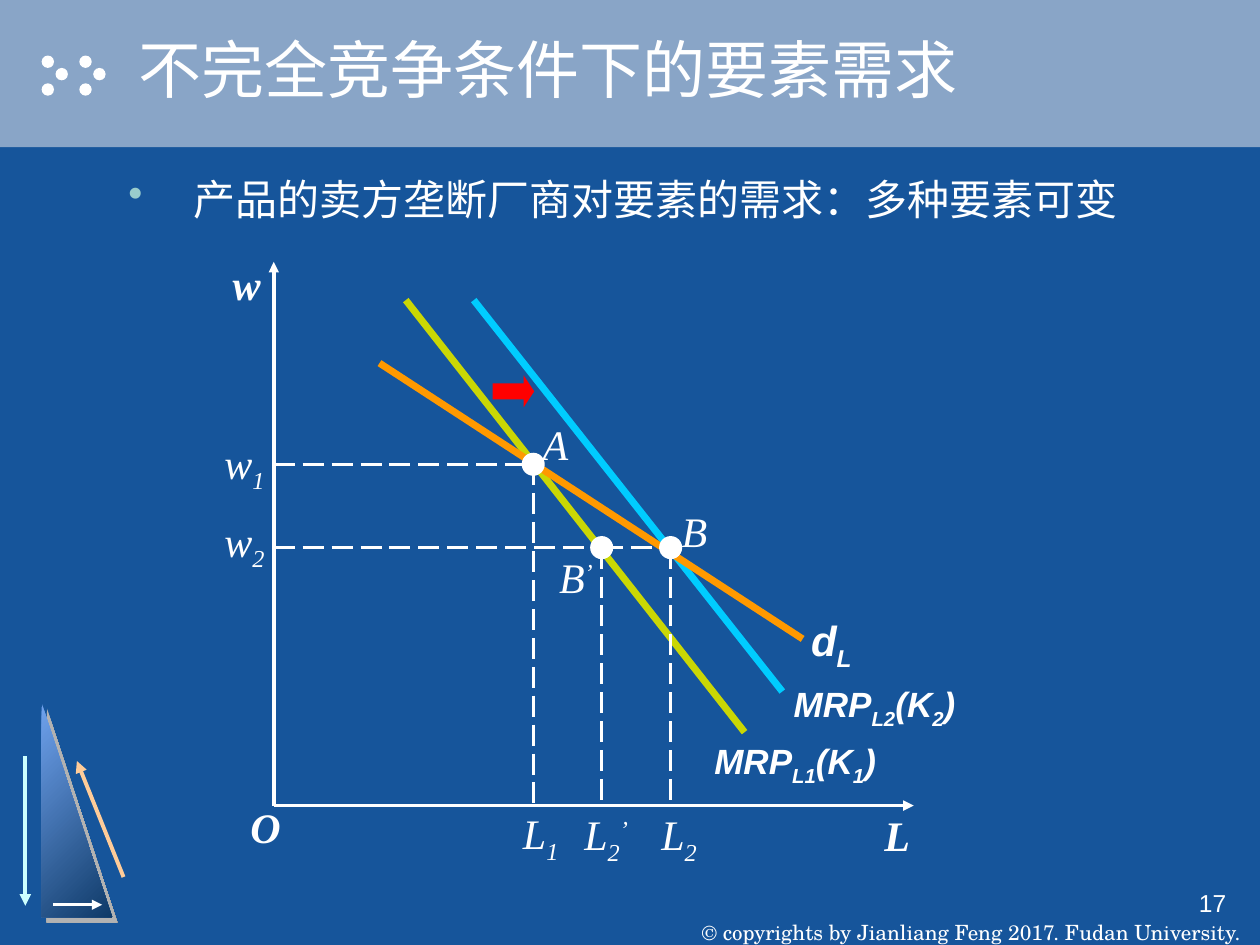
from dataclasses import dataclass, field
from typing import Optional

from lxml.etree import SubElement
from pptx import Presentation
from pptx.dml.color import RGBColor
from pptx.enum.dml import MSO_LINE as Dash
from pptx.enum.shapes import MSO_CONNECTOR as Link, MSO_SHAPE as Preset
from pptx.enum.text import MSO_ANCHOR as Anchor, MSO_AUTO_SIZE as Fit, PP_ALIGN as Align
from pptx.oxml.ns import qn
from pptx.util import Cm, Pt


@dataclass(frozen=True)
class Theme:
    page: str = "16559B"
    banner: str = "89A5C7"
    white: str = "FFFFFF"
    shade: str = "B2B2B2"
    text_shade: str = "000000"
    bullet: str = "99CCCC"
    light_blue: str = "6FA2ED"
    dark_blue: str = "0F3A68"
    mint: str = "CCFFFF"
    peach: str = "FFCC99"
    lime: str = "CAD704"
    cyan: str = "00CCFF"
    orange: str = "FF9900"
    red: str = "FF0000"
    serif: str = "Times New Roman"
    sans: str = "Arial"
    book: str = "TeX Gyre Schola"
    title_size: int = 36
    body_size: int = 24
    curve_size: int = 20
    number_size: int = 14
    small_size: int = 12


THEME = Theme()
SUB, SUPER = -25, 30


@dataclass(frozen=True)
class Style:
    font: str = THEME.serif
    size: int = THEME.body_size
    bold: bool = False
    italic: bool = False
    align: Optional[Align] = None
    anchor: Anchor = Anchor.TOP
    wrap: bool = True
    grow: bool = False
    spacing: Optional[float] = None


LETTER = Style(italic=True, wrap=False, grow=True)
AXIS = Style(bold=True, italic=True, wrap=False, grow=True)
TICK = Style(italic=True, align=Align.CENTER, grow=True, spacing=1.2)
CURVE = Style(THEME.sans, THEME.curve_size, True, True, wrap=False, grow=True)
DEMAND = Style(THEME.sans, bold=True, italic=True, wrap=False, grow=True)


@dataclass(frozen=True)
class Label:
    spans: tuple
    place: tuple
    style: Style


@dataclass(frozen=True)
class Stroke:
    start: tuple
    end: tuple
    color: str = THEME.white
    width: float = 1.5
    arrow: bool = False
    dashed: bool = False


@dataclass(frozen=True)
class Point:
    x: float
    y: float
    guide_start: float
    labels: tuple = field(default=())


def color(code: str) -> RGBColor:
    return RGBColor.from_string(code)


def add_shadow(effects, code: str, distance: float) -> None:
    shadow = SubElement(effects, qn("a:outerShdw"), dist=str(Pt(distance)), dir="2700000")
    SubElement(shadow, qn("a:srgbClr"), val=code)


def draw_shape(page, preset, place: tuple, fill: str):
    shape = page.shapes.add_shape(preset, *map(Cm, place))
    shape.shadow.inherit = False
    shape.fill.solid()
    shape.fill.fore_color.rgb = color(fill)
    shape.line.fill.background()
    return shape


def draw_stroke(page, stroke: Stroke) -> None:
    ends = map(Cm, (*stroke.start, *stroke.end))
    connector = page.shapes.add_connector(Link.STRAIGHT, *ends)
    connector.line.color.rgb = color(stroke.color)
    connector.line.width = Pt(stroke.width)
    if stroke.dashed:
        connector.line.dash_style = Dash.LONG_DASH
    properties = connector._element.spPr
    if stroke.arrow:
        SubElement(properties.find(qn("a:ln")), qn("a:tailEnd"), type="triangle")
    SubElement(properties, qn("a:effectLst"))


def draw_label(page, label: Label):
    style = label.style
    box = page.shapes.add_textbox(*map(Cm, label.place))
    frame = box.text_frame
    frame.word_wrap = style.wrap
    frame.vertical_anchor = style.anchor
    if style.grow:
        frame.auto_size = Fit.SHAPE_TO_FIT_TEXT
    para = frame.paragraphs[0]
    para.alignment = style.align
    para.line_spacing = style.spacing
    for text, baseline in label.spans:
        span = para.add_run()
        span.text = text
        span.font.name = style.font
        span.font.size = Pt(style.size)
        span.font.bold = style.bold
        span.font.italic = style.italic
        span.font.color.rgb = color(THEME.white)
        if baseline:
            span._r.get_or_add_rPr().set("baseline", str(baseline * 1000))
    return box


def draw_point(page, point: Point, floor: float) -> None:
    size = 0.43
    center = (point.x, point.y)
    draw_stroke(page, Stroke((point.guide_start, point.y), center, dashed=True))
    draw_stroke(page, Stroke(center, (point.x, floor), dashed=True))
    place = (point.x - size / 2, point.y - size / 2, size, size)
    dot = draw_shape(page, Preset.OVAL, place, THEME.white)
    dot.line.color.rgb = color(THEME.white)
    dot.line.width = Pt(1)
    for label in point.labels:
        draw_label(page, label)


def draw_decoration(page) -> None:
    draw_shape(page, Preset.RECTANGLE, (0, 0, 25.4, 2.97), THEME.banner)
    for left in (0.84, 1.6):
        for shift, top in ((0, 1.12), (0.28, 1.37), (0, 1.68)):
            draw_shape(page, Preset.OVAL, (left + shift, top, 0.25, 0.25), THEME.white)
    triangle = draw_shape(page, Preset.RIGHT_TRIANGLE, (0.84, 14.17, 1.42, 4.32), THEME.dark_blue)
    triangle.fill.gradient()
    triangle.fill.gradient_angle = 315
    for stop, code in zip(triangle.fill.gradient_stops, (THEME.light_blue, THEME.dark_blue)):
        stop.color.rgb = color(code)
    add_shadow(triangle._element.spPr.find(qn("a:effectLst")), THEME.shade, 4.2)
    for stroke in (
        Stroke((0.51, 15.24), (0.51, 18.26), THEME.mint, 2.25, arrow=True),
        Stroke((2.49, 17.68), (1.55, 15.34), THEME.peach, 2.25, arrow=True),
        Stroke((1.07, 18.24), (2.06, 18.24), arrow=True),
    ):
        draw_stroke(page, stroke)


def draw_texts(page) -> None:
    footer_style = Style(THEME.book, THEME.small_size, align=Align.CENTER, anchor=Anchor.BOTTOM, wrap=False)
    footer = draw_label(page, Label((("© copyrights by Jianliang Feng 2017. Fudan University.", 0),),
                                    (13.77, 17.78, 11.63, 1.27), footer_style))
    footer.text_frame.margin_top = footer.text_frame.margin_bottom = Cm(0)
    draw_label(page, Label((("17", 0),), (19.69, 17.78, 5.28, 1.27),
                           Style(THEME.sans, THEME.number_size, align=Align.RIGHT)))
    title = draw_label(page, Label((("不完全竞争条件下的要素需求", 0),), (2.54, 0, 22.86, 2.74),
                                   Style(THEME.sans, THEME.title_size, anchor=Anchor.MIDDLE)))
    letters = title.text_frame.paragraphs[0].runs[0]._r.get_or_add_rPr()
    effects = SubElement(letters, qn("a:effectLst"))
    letters.find(qn("a:solidFill")).addnext(effects)
    add_shadow(effects, THEME.text_shade, 2)
    body = draw_label(page, Label((("产品的卖方垄断厂商对要素的需求：多种要素可变", 0),),
                                  (2.34, 3.38, 20.75, 12.7), Style()))
    bullet = body.text_frame.paragraphs[0]._p.get_or_add_pPr()
    bullet.set("marL", str(Cm(1.32)))
    bullet.set("indent", str(-Cm(1.32)))
    SubElement(SubElement(bullet, qn("a:buClr")), qn("a:srgbClr"), val=THEME.bullet)
    SubElement(bullet, qn("a:buChar"), char="•")


def draw_diagram(page) -> None:
    left, floor = origin = (5.52, 16.24)
    tick_size, letter_size, curve_size = (1.48, 1.65), (1.02, 1.27), (3.76, 1.22)
    point_a = Point(10.75, 9.36, left, (
        Label((("A", 0),), (10.69, 8.31, *letter_size), LETTER),
        Label((("w", 0), ("1", SUB)), (4.19, 8.46, *tick_size), TICK),
        Label((("L", 0), ("1", SUB)), (10.16, 15.93, *tick_size), TICK),
    ))
    point_b_prime = Point(12.13, 11.04, left, (
        Label((("B", 0), ("’", SUPER)), (11.02, 11, 1.19, 1.27), LETTER),
        Label((("w", 0), ("2", SUB)), (4.19, 10.03, *tick_size), TICK),
        Label((("L", 0), ("2", SUB), ("’", SUPER)), (11.48, 15.95, *tick_size), TICK),
    ))
    point_b = Point(13.52, point_b_prime.y, point_b_prime.x, (
        Label((("B", 0),), (13.49, 10.06, *letter_size), LETTER),
        Label((("L", 0), ("2", SUB)), (12.95, 15.95, *tick_size), TICK),
    ))
    for tip in ((left, 5.28), (18.42, floor)):
        draw_stroke(page, Stroke(origin, tip, width=2, arrow=True))
    for name, place in (
        ("L", (17.58, 16.2, 1.02, 1.27)),
        ("w", (4.44, 5.08, 1.07, 1.27)),
        ("O", (4.8, 16.03, 1.12, 1.27)),
    ):
        draw_label(page, Label(((name, 0),), place, AXIS))
    draw_stroke(page, Stroke((8.18, 6.05), (15.01, 14.76), THEME.lime, 4))
    draw_point(page, point_b_prime, floor)
    draw_stroke(page, Stroke((9.55, 6.05), (15.77, 13.94), THEME.cyan, 4))
    for number, place in (("1", (14.15, 14.78)), ("2", (15.75, 13.64))):
        spans = (("MRP", 0), ("L" + number, SUB), ("(K", 0), (number, SUB), (")", 0))
        draw_label(page, Label(spans, (*place, *curve_size), CURVE))
    arrow = draw_shape(page, Preset.RIGHT_ARROW, (9.93, 7.57, 0.84, 0.64), THEME.red)
    arrow.adjustments[1] = 0.33
    draw_stroke(page, Stroke((7.65, 7.32), (16.18, 12.88), THEME.orange, 4))
    draw_label(page, Label((("d", 0), ("L", SUB)), (16.1, 12.27, 1.32, 1.4), DEMAND))
    for point in (point_a, point_b):
        draw_point(page, point, floor)


def main() -> None:
    deck = Presentation()
    deck.slide_width, deck.slide_height = Cm(25.4), Cm(19.05)
    page = deck.slides.add_slide(deck.slide_layouts[6])
    page.background.fill.solid()
    page.background.fill.fore_color.rgb = color(THEME.page)
    draw_decoration(page)
    draw_texts(page)
    draw_diagram(page)
    deck.save("out.pptx")


if __name__ == "__main__":
    main()
